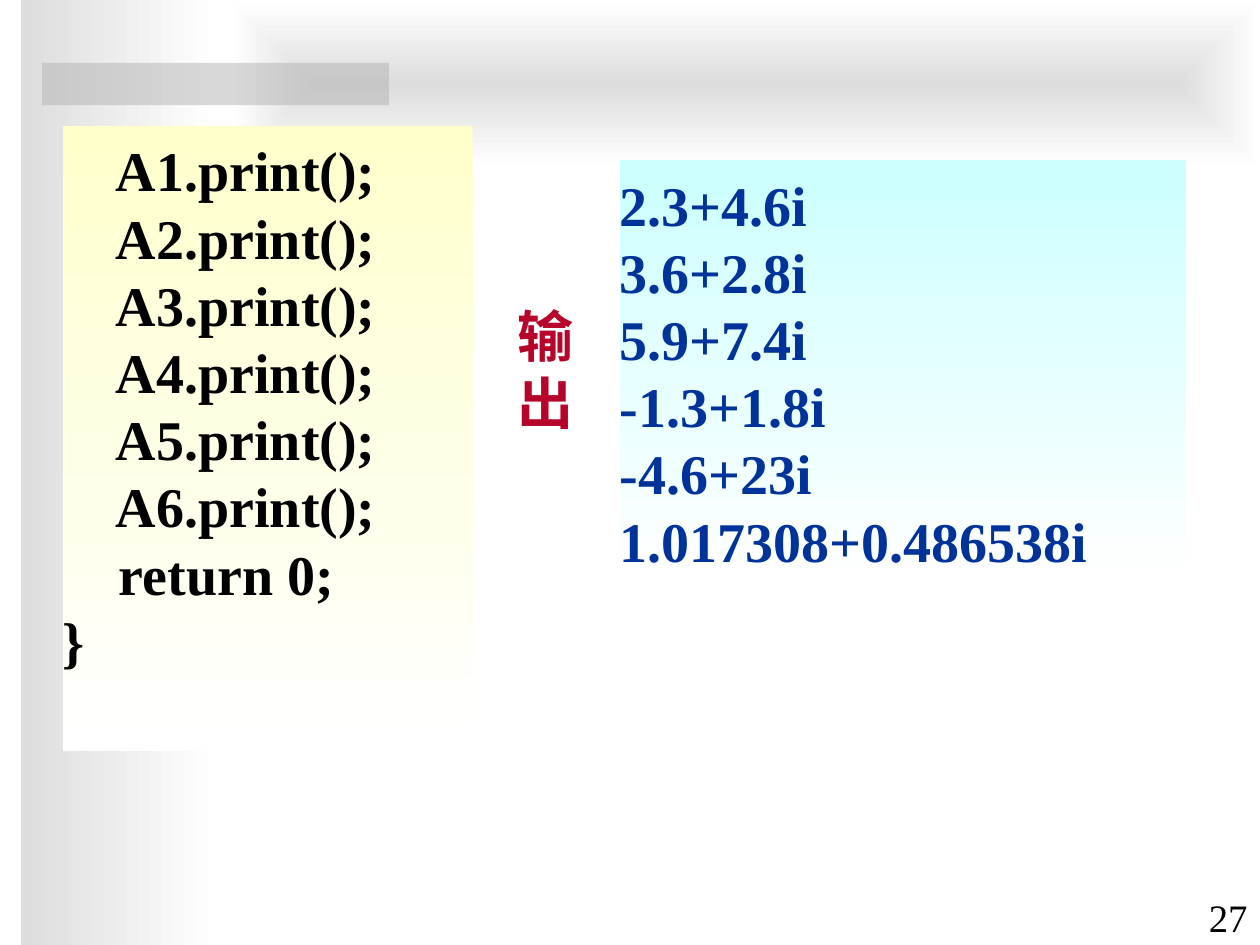
from lxml import etree
from pptx import Presentation
from pptx.dml.color import RGBColor
from pptx.enum.shapes import MSO_SHAPE
from pptx.enum.text import MSO_ANCHOR, PP_ALIGN
from pptx.oxml.ns import qn
from pptx.util import Cm, Pt

RECT = MSO_SHAPE.RECTANGLE
TOP, MIDDLE, BOTTOM = MSO_ANCHOR.TOP, MSO_ANCHOR.MIDDLE, MSO_ANCHOR.BOTTOM
LEFT, CENTER, RIGHT = PP_ALIGN.LEFT, PP_ALIGN.CENTER, PP_ALIGN.RIGHT

FONT = "Times New Roman"
WHITE = RGBColor(0xFF, 0xFF, 0xFF)
BLACK = RGBColor(0x00, 0x00, 0x00)
PALE_GREY = RGBColor(0xDD, 0xDD, 0xDD)
MID_GREY = RGBColor(0xB2, 0xB2, 0xB2)
PALE_YELLOW = RGBColor(0xFF, 0xFF, 0xCC)
PALE_CYAN = RGBColor(0xCC, 0xFF, 0xFF)
NAVY = RGBColor(0x00, 0x33, 0x99)
CRIMSON = RGBColor(0xB6, 0x04, 0x2A)

CODE = [f"    A{n}.print();" for n in range(1, 7)] + ["    return 0;", "}"]
OUTPUT = ["2.3+4.6i", "3.6+2.8i", "5.9+7.4i", "-1.3+1.8i", "-4.6+23i",
          "1.017308+0.486538i"]


def add_rect(s, box):
    sp = s.shapes.add_shape(RECT, *map(Cm, box))
    sp.shadow.inherit = False
    sp.line.fill.background()
    return sp


def add_gradient_rect(s, box, color, angle=0):
    """Rectangle fading from color to white; angle is counterclockwise."""
    sp = add_rect(s, box)
    sp.fill.gradient()
    sp.fill.gradient_angle = angle
    for stop, rgb, position in zip(sp.fill.gradient_stops, (color, WHITE), (0, 1)):
        stop.color.rgb = rgb
        stop.position = position
    return sp


def fade_from_center(sp):
    grad = sp._element.spPr.find(qn("a:gradFill"))
    grad_path = etree.Element(qn("a:path"), {"path": "rect"})
    etree.SubElement(grad_path, qn("a:fillToRect"),
                     {side: "50000" for side in "ltrb"})
    grad.replace(grad.find(qn("a:lin")), grad_path)


def add_translucent_rect(s, box, color, percent):
    sp = add_rect(s, box)
    sp.fill.solid()
    sp.fill.fore_color.rgb = color
    clr = sp._element.spPr.find(qn("a:solidFill"))[0]
    etree.SubElement(clr, qn("a:alpha"), {"val": str(percent * 1000)})


def write_lines(sp, lines, color, align=LEFT, anchor=MIDDLE, margins=(0, 0.2),
                size=32, bold=True):
    tf = sp.text_frame
    tf.word_wrap = True
    tf.vertical_anchor = anchor
    tf.margin_left = tf.margin_right = Cm(margins[0])
    tf.margin_top = tf.margin_bottom = Cm(margins[1])
    for i, line in enumerate(lines):
        p = tf.add_paragraph() if i else tf.paragraphs[0]
        p.alignment = align
        if len(lines) > 1:
            p.line_spacing = Pt(size * 1.2)
        r = p.add_run()
        r.text = line
        r.font.name = FONT
        r.font.size = Pt(size)
        r.font.bold = bold
        r.font.color.rgb = color


def add_text(s, box, lines, color, **style):
    write_lines(s.shapes.add_textbox(*map(Cm, box)), lines, color, **style)


def add_background(s):
    add_gradient_rect(s, (0.42, 0, 4.02, 19.05), PALE_GREY)
    fade_from_center(add_gradient_rect(s, (4.66, 0, 20.74, 3.39), PALE_GREY))
    add_translucent_rect(s, (0.85, 1.27, 6.99, 0.85), MID_GREY, 50)


def main():
    prs = Presentation()
    prs.slide_width, prs.slide_height = Cm(25.4), Cm(19.05)
    s = prs.slides.add_slide(prs.slide_layouts[6])

    add_background(s)
    add_text(s, (22.86, 17.81, 2.54, 1.27), ["27"], BLACK, align=RIGHT,
             anchor=BOTTOM, margins=(0.25, 0.13), size=22.2, bold=False)
    code = add_gradient_rect(s, (1.27, 2.54, 8.26, 12.6), PALE_YELLOW, 270)
    write_lines(code, CODE, BLACK, anchor=TOP)
    add_text(s, (10.36, 5.72, 1.27, 3.43), ["输", "出"], CRIMSON,
             align=CENTER, margins=(0, 0))
    output = add_gradient_rect(s, (12.49, 3.23, 11.43, 8.53), PALE_CYAN, 270)
    write_lines(output, OUTPUT, NAVY)

    prs.save("out.pptx")


if __name__ == "__main__":
    main()
